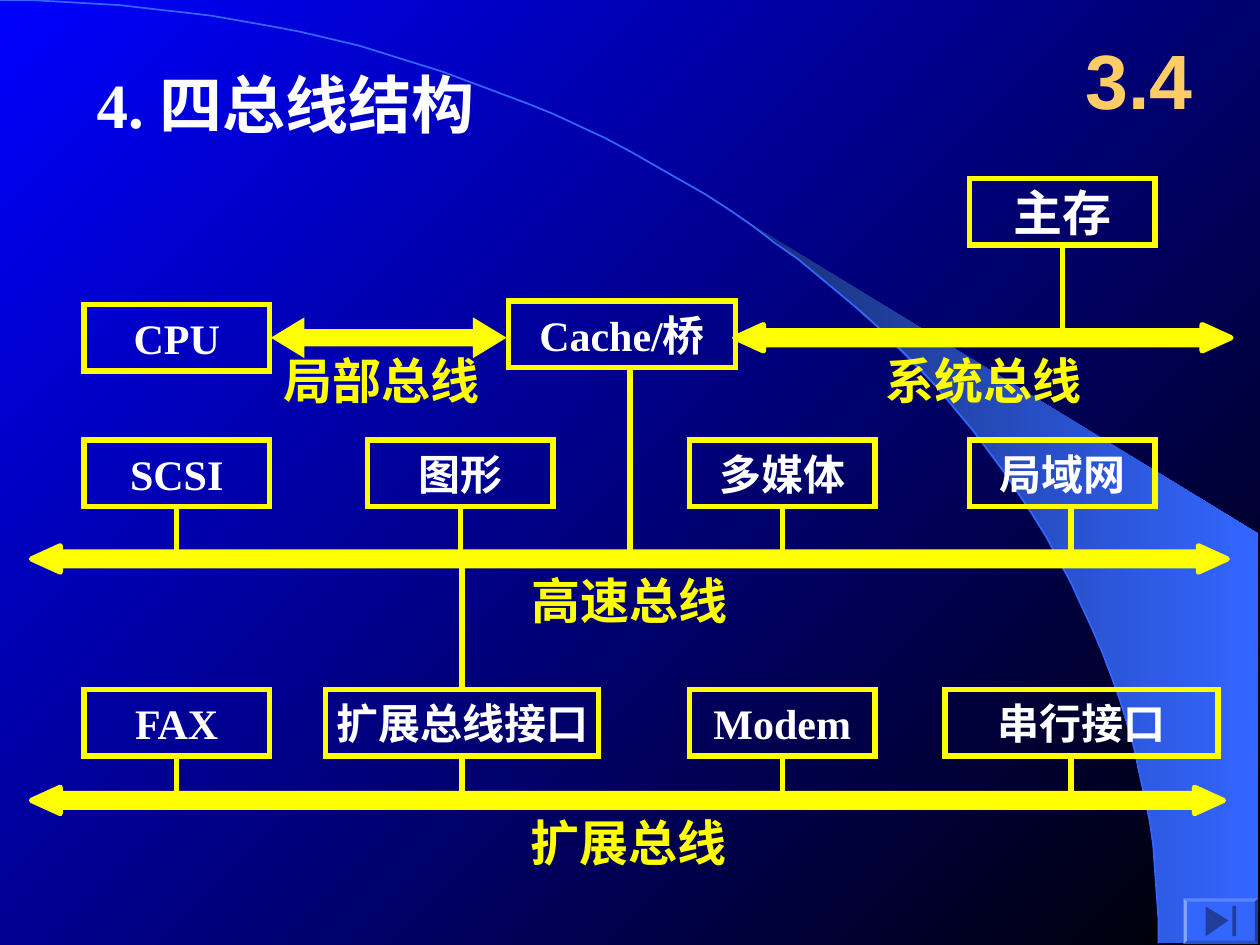
import math
from dataclasses import dataclass

from lxml import etree
from pptx import Presentation
from pptx.dml import color
from pptx.enum import shapes, text
from pptx.oxml import ns
from pptx.util import Pt


@dataclass(frozen=True)
class Theme:
    white: str = "FFFFFF"
    yellow: str = "FFFF00"
    gold: str = "FFCC66"
    blue: str = "3366FF"
    deep_blue: str = "0000FF"
    black: str = "000000"
    swoosh_dark: str = "182F76"
    icon: str = "1F3D99"
    serif: str = "Times New Roman"
    sans: str = "Arial"
    chinese: str = "Noto Sans CJK SC"
    title: int = 36
    number: int = 44
    label: int = 28
    body: int = 24
    line: int = 3


THEME = Theme()
ARC_WIDTH, ARC_HEIGHT = 662.4, 539.3
BOX_WIDTH, WIDE_BOX, BOX_HEIGHT = 106, 156, 38
BUS_HEIGHT, BUS_HEAD = 15, 16.5
SYSTEM_BUS, FAST_BUS, EXPANSION_BUS = 193, 319.4, 457.4
SHAFT = 4


def rgb(value):
    return color.RGBColor.from_string(value)


def set_gradient(fill, stops, angle):
    fill.gradient()
    fill.gradient_angle = angle
    for stop, value in zip(fill.gradient_stops, stops):
        stop.color.rgb = rgb(value)


def set_outline(shape, value, width, sharp=False):
    shape.line.color.rgb = rgb(value)
    shape.line.width = Pt(width)
    if sharp:
        outline = shape.element.spPr.find(ns.qn("a:ln"))
        etree.SubElement(outline, ns.qn("a:miter")).set("lim", "800000")


def write(shape, words, size, value, font, align=text.PP_ALIGN.LEFT,
          anchor=text.MSO_ANCHOR.TOP, margins=(0, 0)):
    frame = shape.text_frame
    frame.text = words
    frame.word_wrap = False
    frame.auto_size = text.MSO_AUTO_SIZE.NONE
    frame.vertical_anchor = anchor
    frame.margin_left = frame.margin_right = Pt(margins[0])
    frame.margin_top = frame.margin_bottom = Pt(margins[1])
    paragraph = frame.paragraphs[0]
    paragraph.alignment = align
    for run in paragraph.runs:
        run.font.size = Pt(size)
        run.font.bold = True
        run.font.name = font
        run.font.color.rgb = rgb(value)
        east_asian = etree.SubElement(run.font._element, ns.qn("a:ea"))
        east_asian.set("typeface", THEME.chinese)


def add_preset(slide, kind, left, top, width, height):
    shape = slide.shapes.add_shape(kind, Pt(left), Pt(top), Pt(width), Pt(height))
    shape.shadow.inherit = False
    return shape


def add_outline(slide, points, close=True):
    builder = slide.shapes.build_freeform(*points[0], scale=float(Pt(1)))
    builder.add_line_segments(points[1:], close=close)
    shape = builder.convert_to_shape()
    shape.shadow.inherit = False
    return shape


def arc_points(start, steps=60):
    angles = [start + (math.pi / 2 - start) * i / steps for i in range(steps + 1)]
    return [(ARC_WIDTH * math.sin(a), ARC_HEIGHT * (1 - math.cos(a))) for a in angles]


def add_backdrop(slide):
    set_gradient(slide.background.fill, (THEME.deep_blue, THEME.black), 315)
    edge = arc_points(math.asin(0.64))
    swoosh = add_outline(slide, edge + [(719.3, 539.3), (719.3, 304.6)])
    set_gradient(swoosh.fill, (THEME.swoosh_dark, THEME.blue), 0)
    swoosh.line.fill.background()
    arc = add_outline(slide, arc_points(0), close=False)
    arc.fill.background()
    set_outline(arc, THEME.blue, 1)


def add_title(slide, words):
    title = slide.shapes.title
    title.left, title.top, title.width, title.height = Pt(48), Pt(34), Pt(239), Pt(50)
    write(title, words, THEME.title, THEME.white, THEME.serif, margins=(7.2, 3.6))
    title.element.getparent().append(title.element)


def add_number(slide, words):
    box = slide.shapes.add_textbox(Pt(606), Pt(12), Pt(90), Pt(66))
    write(box, words, THEME.number, THEME.gold, THEME.sans,
          text.PP_ALIGN.CENTER, text.MSO_ANCHOR.MIDDLE, (7.2, 3.6))


def add_unit(slide, words, left, top, width=BOX_WIDTH, size=THEME.body):
    box = add_preset(slide, shapes.MSO_SHAPE.RECTANGLE, left, top, width, BOX_HEIGHT)
    box.fill.background()
    set_outline(box, THEME.yellow, THEME.line, sharp=True)
    font = THEME.serif if words[0].isascii() else THEME.chinese
    write(box, words, size, THEME.white, font,
          text.PP_ALIGN.CENTER, text.MSO_ANCHOR.MIDDLE)
    return box


def add_bus(slide, left, right, middle, height=BUS_HEIGHT, head=BUS_HEAD,
            shaft=0.53, sharp=False):
    arrow = add_preset(slide, shapes.MSO_SHAPE.LEFT_RIGHT_ARROW,
                       left, middle - height / 2, right - left, height)
    arrow.adjustments[0] = shaft
    arrow.adjustments[1] = head / height
    arrow.fill.solid()
    arrow.fill.fore_color.rgb = rgb(THEME.yellow)
    set_outline(arrow, THEME.yellow, THEME.line, sharp)


def add_bus_label(slide, words, left, top):
    box = slide.shapes.add_textbox(Pt(left), Pt(top), Pt(112), Pt(34))
    write(box, words, THEME.label, THEME.yellow, THEME.chinese)


def add_link(slide, box, bus, x=None, side=2):
    start = box.top + (box.height if side == 2 else 0)
    column = box.left + box.width // 2 if x is None else Pt(x)
    end = Pt(bus - SHAFT if side == 2 else bus + SHAFT)
    link = slide.shapes.add_connector(
        shapes.MSO_CONNECTOR.STRAIGHT, column, start, column, end)
    if x is None:
        link.begin_connect(box, side)
    set_outline(link, THEME.yellow, THEME.line)
    etree.SubElement(link.element.spPr, ns.qn("a:effectLst"))


def add_end_button(slide):
    button = add_preset(slide, shapes.MSO_SHAPE.BEVEL, 676.4, 513.4, 42.5, 26)
    button.adjustments[0] = 0.07
    triangle = add_outline(slide, [(689, 517.7), (702, 526.3), (689, 535)])
    bar = add_preset(slide, shapes.MSO_SHAPE.RECTANGLE, 704.2, 517.7, 2.2, 17.3)
    for shape, value in ((button, THEME.blue), (triangle, THEME.icon), (bar, THEME.icon)):
        shape.fill.solid()
        shape.fill.fore_color.rgb = rgb(value)
        shape.line.fill.background()


def main():
    presentation = Presentation()
    presentation.slide_width, presentation.slide_height = Pt(720), Pt(540)
    slide = presentation.slides.add_slide(presentation.slide_layouts[5])
    add_backdrop(slide)
    add_title(slide, "4. 四总线结构")
    add_number(slide, "3.4")

    memory = add_unit(slide, "主存", 554, 102, size=THEME.label)
    add_unit(slide, "CPU", 48, 174)
    cache = add_unit(slide, "Cache/桥", 290.5, 172, 130)
    add_link(slide, memory, SYSTEM_BUS)
    add_link(slide, cache, FAST_BUS, x=360)

    fast_units = (("SCSI", 48, None), ("图形", 210, None),
                  ("多媒体", 394, None), ("局域网", 554, 612))
    for words, left, x in fast_units:
        add_link(slide, add_unit(slide, words, left, 251.5), FAST_BUS, x)

    slow_units = (("FAX", 48, BOX_WIDTH, None), ("扩展总线接口", 186, WIDE_BOX, None),
                  ("Modem", 394, BOX_WIDTH, None), ("串行接口", 540, WIDE_BOX, 612))
    for words, left, width, x in slow_units:
        unit = add_unit(slide, words, left, 394, width)
        add_link(slide, unit, EXPANSION_BUS, x)
        if words == "扩展总线接口":
            add_link(slide, unit, FAST_BUS, side=0)

    add_bus(slide, 157.7, 286.6, SYSTEM_BUS, 18, 14.8, 0.375, sharp=True)
    add_bus(slide, 419.8, 703.4, SYSTEM_BUS)
    add_bus(slide, 18, 701.3, FAST_BUS)
    add_bus(slide, 18, 699.1, EXPANSION_BUS)
    for label in (("局部总线", 162, 200), ("系统总线", 506, 200),
                  ("高速总线", 304, 326), ("扩展总线", 303, 464.4)):
        add_bus_label(slide, *label)
    add_end_button(slide)
    presentation.save("out.pptx")


if __name__ == "__main__":
    main()
